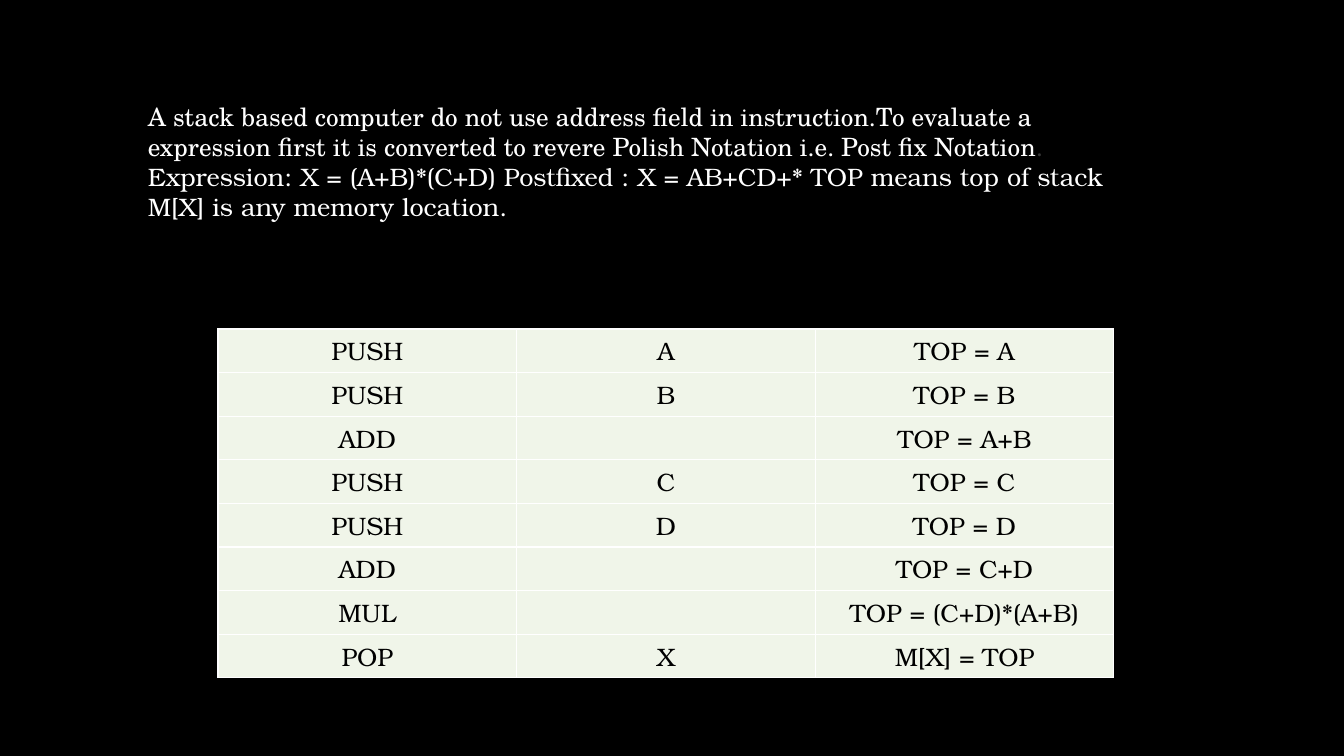
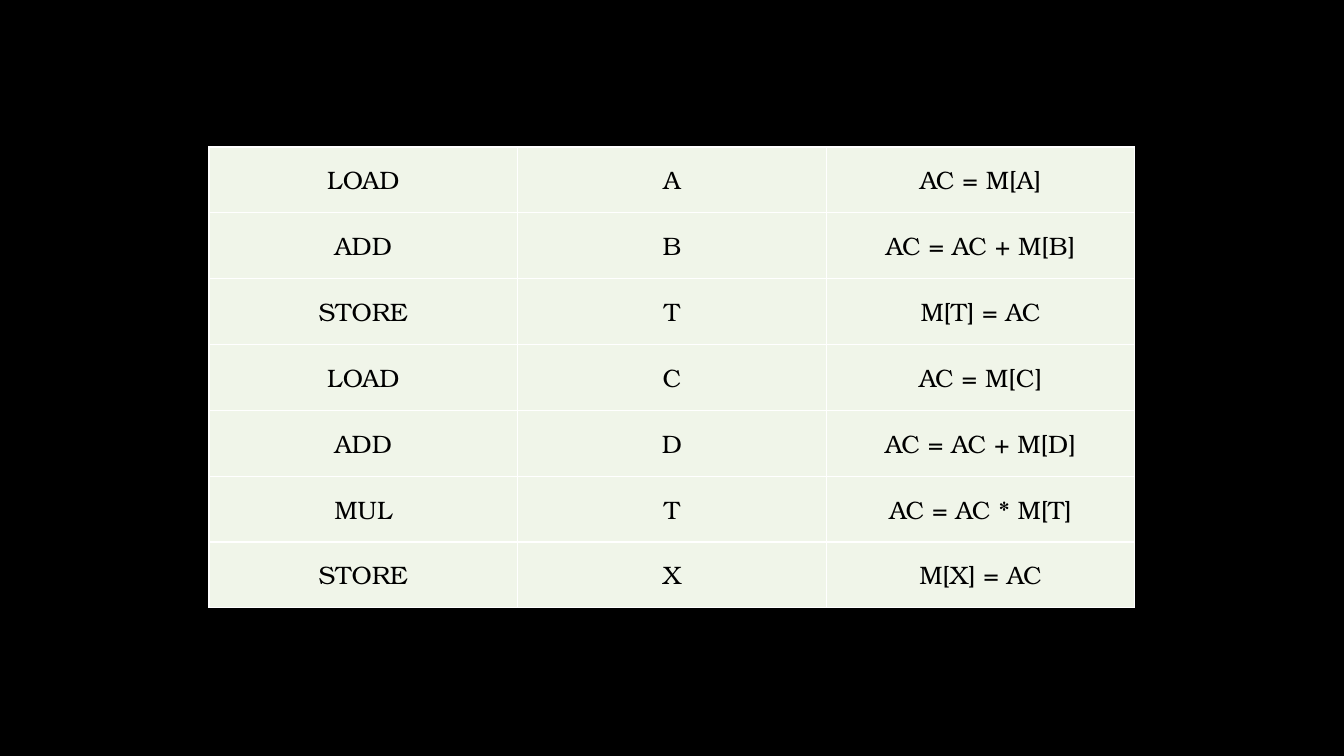
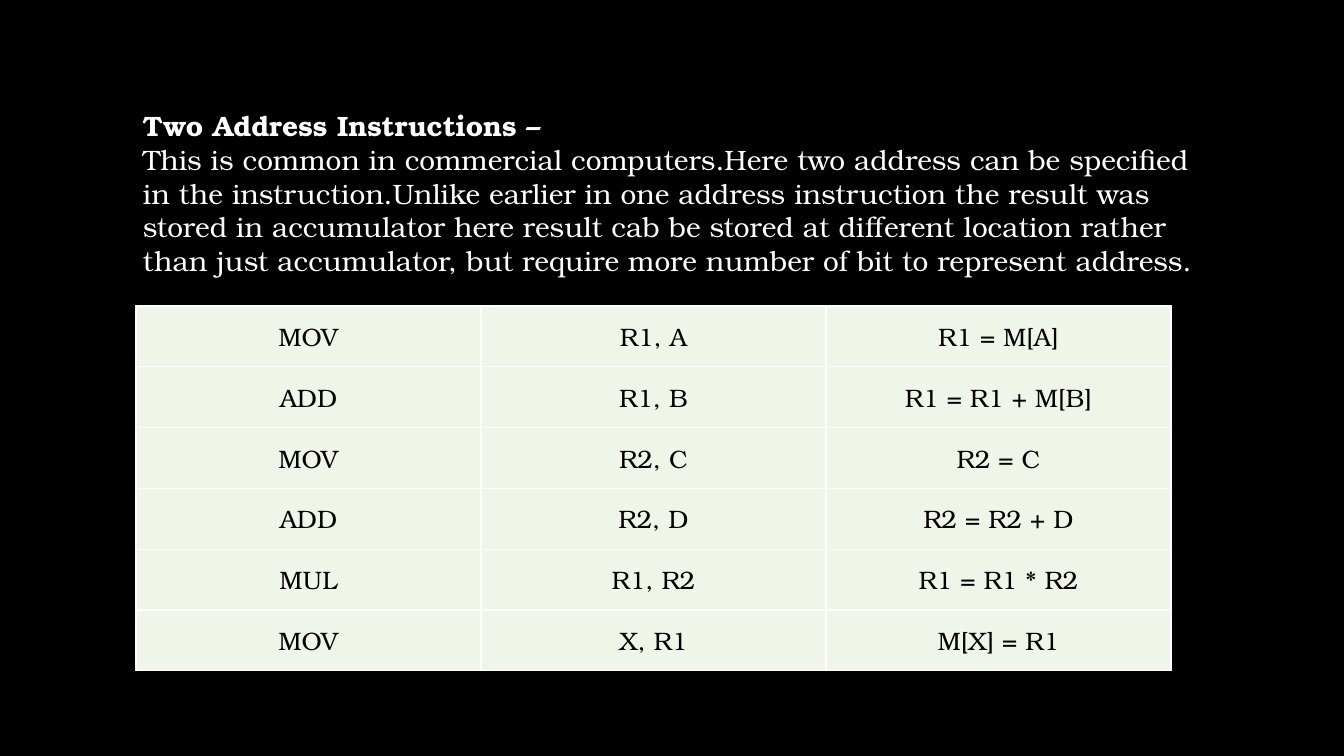
from dataclasses import dataclass

from lxml.etree import SubElement
from pptx import Presentation
from pptx.dml.color import RGBColor
from pptx.enum.text import MSO_ANCHOR, MSO_AUTO_SIZE, PP_ALIGN
from pptx.oxml.ns import qn
from pptx.util import Emu, Pt

SLIDE_WIDTH, SLIDE_HEIGHT = 1344, 756
EMU_PER_PX = 12192000 / SLIDE_WIDTH


@dataclass(frozen=True)
class Theme:
    """Colours, fonts and type sizes shared by all slides."""

    background: str = "000000"
    light_text: str = "FFFFFF"
    dim_text: str = "353535"
    cell_text: str = "000000"
    cell_fill: str = "F0F5E9"
    border: str = "FFFFFF"
    border_width: int = 1
    font: str = "TeX Gyre Bonum"
    intro_font: str = "TeX Gyre Schola"
    normal_size: int = 18
    large_size: int = 20


def px(length):
    """Turn a length in px into EMU."""
    return Emu(round(length * EMU_PER_PX))


def add_text(paragraph, text, *, font, size, color, bold=False):
    """Append one formatted run to a paragraph."""
    run = paragraph.add_run()
    run.text = text
    run.font.name = font
    run.font.size = Pt(size)
    run.font.bold = bold
    run.font.color.rgb = RGBColor.from_string(color)


class Deck:
    """Holds the theme and the current slide and adds elements to it."""

    def __init__(self, theme):
        """Open a presentation with the shared size and background."""
        self.theme = theme
        self.presentation = Presentation()
        self.presentation.slide_width = px(SLIDE_WIDTH)
        self.presentation.slide_height = px(SLIDE_HEIGHT)
        fill = self.presentation.slide_master.background.fill
        fill.solid()
        fill.fore_color.rgb = RGBColor.from_string(theme.background)
        self.slide = None

    def new_slide(self):
        """Start a blank slide."""
        layout = self.presentation.slide_layouts.get_by_name("Blank")
        self.slide = self.presentation.slides.add_slide(layout)

    def text_box(self, left, top, width, height, paragraphs, size):
        """Add wrapped text; each paragraph is a list of (text, format) runs."""
        box = self.slide.shapes.add_textbox(px(left), px(top), px(width), px(height))
        frame = box.text_frame
        frame.word_wrap = True
        frame.auto_size = MSO_AUTO_SIZE.SHAPE_TO_FIT_TEXT
        defaults = {"font": self.theme.font, "size": size, "color": self.theme.light_text}
        for index, runs in enumerate(paragraphs):
            paragraph = frame.add_paragraph() if index else frame.paragraphs[0]
            for text, changes in runs:
                add_text(paragraph, text, **{**defaults, **changes})

    def table(self, left, top, width, height, rows):
        """Add a table with equal columns and equal rows."""
        shape = self.slide.shapes.add_table(
            len(rows), len(rows[0]), px(left), px(top), px(width), px(height)
        )
        table = shape.table
        table.first_row = table.horz_banding = False
        for column in table.columns:
            column.width = px(width / len(rows[0]))
        for row, texts in zip(table.rows, rows):
            row.height = px(height / len(rows))
            for cell, text in zip(row.cells, texts):
                self.format_cell(cell, text)

    def format_cell(self, cell, text):
        """Give a table cell its borders, fill and centred text."""
        theme = self.theme
        properties = cell._tc.get_or_add_tcPr()
        for side in ("lnL", "lnR", "lnT", "lnB"):
            line = SubElement(properties, qn(f"a:{side}"), w=str(Pt(theme.border_width)))
            fill = SubElement(line, qn("a:solidFill"))
            SubElement(fill, qn("a:srgbClr"), val=theme.border)
        cell.fill.solid()
        cell.fill.fore_color.rgb = RGBColor.from_string(theme.cell_fill)
        cell.vertical_anchor = MSO_ANCHOR.MIDDLE
        paragraph = cell.text_frame.paragraphs[0]
        paragraph.alignment = PP_ALIGN.CENTER
        if text:
            add_text(paragraph, text, font=theme.font, size=theme.normal_size, color=theme.cell_text)


def zero_address_slide(deck):
    """Build the slide on stack instructions."""
    theme = deck.theme
    deck.new_slide()
    intro = (
        "A stack based computer do not use address field in instruction."
        "To evaluate a expression first it is converted to revere Polish Notation "
        "i.e. Post fix Notation"
    )
    expression = (
        "Expression: X = (A+B)*(C+D) Postfixed : X = AB+CD+* "
        "TOP means top of stack M[X] is any memory location."
    )
    paragraphs = [
        [
            (intro, {"font": theme.intro_font}),
            (".", {"font": theme.intro_font, "color": theme.dim_text}),
        ],
        [(expression, {})],
    ]
    deck.text_box(138, 96, 1033, 132, paragraphs, theme.normal_size)
    deck.table(218, 329, 896, 349, [
        ("PUSH", "A", "TOP = A"),
        ("PUSH", "B", "TOP = B"),
        ("ADD", "", "TOP = A+B"),
        ("PUSH", "C", "TOP = C"),
        ("PUSH", "D", "TOP = D"),
        ("ADD", "", "TOP = C+D"),
        ("MUL", "", "TOP = (C+D)*(A+B)"),
        ("POP", "X", "M[X] = TOP"),
    ])


def one_address_slide(deck):
    """Build the slide on accumulator instructions."""
    deck.new_slide()
    deck.table(209, 147, 926, 461, [
        ("LOAD", "A", "AC = M[A]"),
        ("ADD", "B", "AC = AC + M[B]"),
        ("STORE", "T", "M[T] = AC"),
        ("LOAD", "C", "AC = M[C]"),
        ("ADD", "D", "AC = AC + M[D]"),
        ("MUL", "T", "AC = AC * M[T]"),
        ("STORE", "X", "M[X] = AC"),
    ])


def two_address_slide(deck):
    """Build the slide on register instructions."""
    deck.new_slide()
    body = (
        "This is common in commercial computers.Here two address can be specified "
        "in the instruction.Unlike earlier in one address instruction the result was "
        "stored in accumulator here result cab be stored at different location rather "
        "than just accumulator, but require more number of bit to represent address."
    )
    paragraphs = [[("Two Address Instructions –", {"bold": True})], [(body, {})]]
    deck.text_box(133, 104, 1079, 179, paragraphs, deck.theme.large_size)
    deck.table(136, 306, 1035, 365, [
        ("MOV", "R1, A", "R1 = M[A]"),
        ("ADD", "R1, B", "R1 = R1 + M[B]"),
        ("MOV", "R2, C", "R2 = C"),
        ("ADD", "R2, D", "R2 = R2 + D"),
        ("MUL", "R1, R2", "R1 = R1 * R2"),
        ("MOV", "X, R1", "M[X] = R1"),
    ])


def main():
    """Build and save the slides."""
    deck = Deck(Theme())
    for build in (zero_address_slide, one_address_slide, two_address_slide):
        build(deck)
    deck.presentation.save("out.pptx")


if __name__ == "__main__":
    main()
